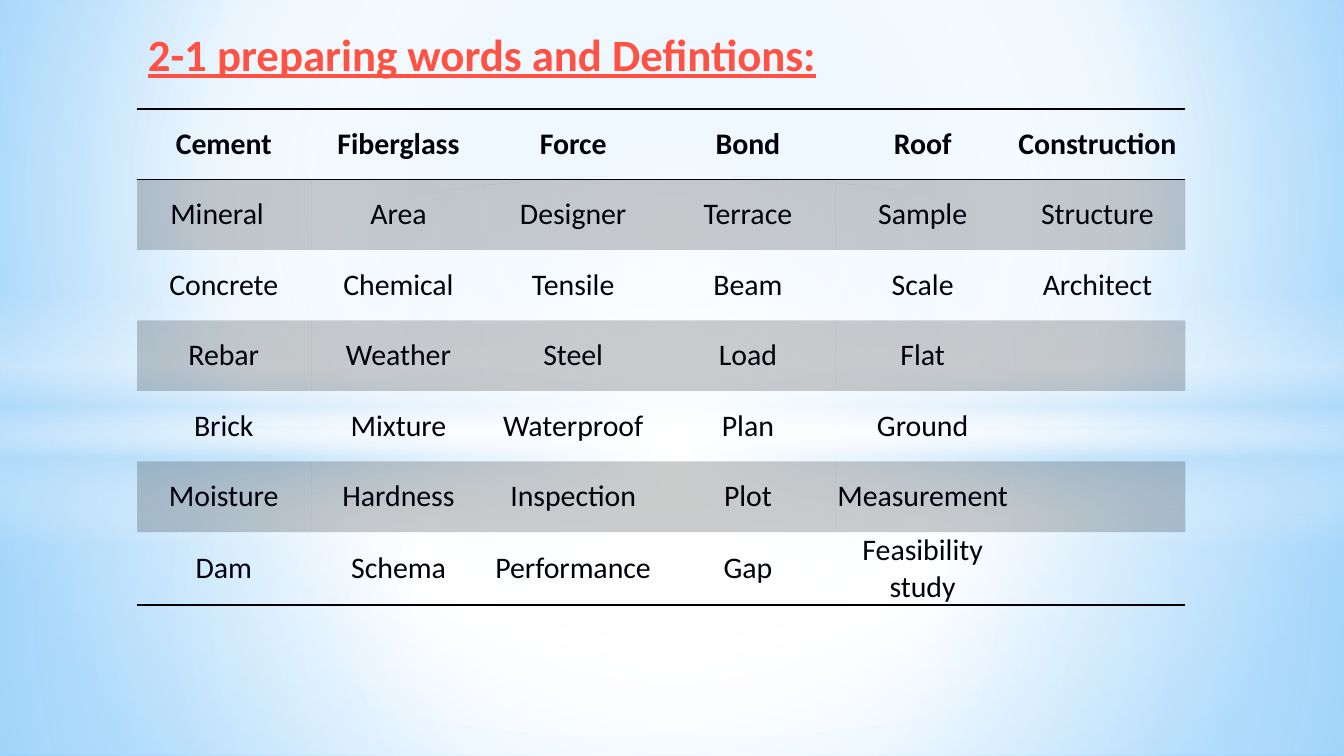
from dataclasses import dataclass
from lxml import etree
from pptx import Presentation
from pptx.dml.color import RGBColor
from pptx.enum import shapes, text
from pptx.oxml import ns
from pptx.util import Inches, Pt

HEADING = "2-1 preparing words and Defintions:"
WORDS = [
    ("Cement", "Fiberglass", "Force", "Bond", "Roof", "Construction"),
    ("Mineral", "Area", "Designer", "Terrace", "Sample", "Structure"),
    ("Concrete", "Chemical", "Tensile", "Beam", "Scale", "Architect"),
    ("Rebar", "Weather", "Steel", "Load", "Flat", ""),
    ("Brick", "Mixture", "Waterproof", "Plan", "Ground", ""),
    ("Moisture", "Hardness", "Inspection", "Plot", "Measurement", ""),
    ("Dam", "Schema", "Performance", "Gap", "Feasibility study", ""),
]
SLIDE_WIDTH = Inches(10)
SLIDE_HEIGHT = SLIDE_WIDTH * 9 // 16
ROW_HEIGHT = 0.525
COLUMN_WIDTH = 1.3
NUDGED = {"Mineral": 0.11}  # wider right margin, in inches


@dataclass(frozen=True)
class Theme:
    """Colours, font and type sizes of the slide."""
    font: str = "Calibri"
    heading: str = "FF5244"
    ink: str = "00000A"
    rule: str = "000000"
    band_alpha: int = 20
    white: str = "FFFFFF"
    sky: str = "B4DCFA"
    heading_size: int = 24
    word_size: int = 16


THEME = Theme()
CENTRE = (50, 50, 50, 50)
# Gradient stops are (position, colour, opacity); a number as target is an angle.
BACKDROP = ([(0, "9ED5FF", 100), (60, THEME.white, 100), (100, "5BB9FF", 100)], (20, 10, 20, 60))
RECT, OVAL = shapes.MSO_SHAPE.RECTANGLE, shapes.MSO_SHAPE.OVAL
GLOWS = [
    (RECT, (0, 3.17, 10, 2.45),
     [(0, THEME.white, 91), (37, THEME.white, 76), (100, THEME.sky, 79)], CENTRE),
    (RECT, (0, 0, 10, 3.17),
     [(0, THEME.white, 89), (48, THEME.white, 62), (100, THEME.sky, 79)], CENTRE),
    (RECT, (0, 2.18, 10, 1.88),
     [(0, THEME.white, 0), (29, THEME.white, 30), (45, THEME.sky, 40),
      (55, THEME.white, 26), (65, THEME.sky, 60), (100, THEME.white, 0)], 90),
    (OVAL, (0, 1.31, 10, 4.19), [(0, THEME.white, 100), (54, THEME.white, 0)], CENTRE),
]


def add_node(parent, tag, **attributes):
    """Append a DrawingML element with the given attributes."""
    return etree.SubElement(parent, ns.qn("a:" + tag),
                            {key: str(value) for key, value in attributes.items()})


def add_colour(parent, colour, alpha=100):
    """Append a colour with an opacity in percent."""
    node = add_node(parent, "srgbClr", val=colour)
    if alpha < 100:
        add_node(node, "alpha", val=alpha * 1000)


def paint_gradient(owner, fill, stops, target):
    """Fill the owner with a circular or linear gradient."""
    fill.solid()
    solid = next(owner.iter(ns.qn("a:solidFill")))
    gradient = etree.Element(ns.qn("a:gradFill"), rotWithShape="1")
    stop_list = add_node(gradient, "gsLst")
    for position, colour, alpha in stops:
        add_colour(add_node(stop_list, "gs", pos=position * 1000), colour, alpha)
    if isinstance(target, tuple):
        circle = add_node(gradient, "path", path="circle")
        sides = {side: value * 1000 for side, value in zip("ltrb", target)}
        add_node(circle, "fillToRect", **sides)
    else:
        add_node(gradient, "lin", ang=target * 60000, scaled=0)
    solid.getparent().replace(solid, gradient)


def add_glow(slide, preset, box, stops, target):
    """Add one soft shape of the backdrop."""
    glow = slide.shapes.add_shape(preset, *map(Inches, box))
    glow.shadow.inherit = False
    glow.line.fill.background()
    paint_gradient(glow._element, glow.fill, stops, target)


def style_run(run, size, colour, bold):
    """Set the font of a run."""
    run.font.name, run.font.size, run.font.bold = THEME.font, Pt(size), bold
    run.font.color.rgb = RGBColor.from_string(colour)


def set_heading(slide):
    """Fill and place the title placeholder in front of the backdrop."""
    title = slide.shapes.title
    title.left, title.top, title.width, title.height = map(Inches, (0.8, 0.15, 8.48, 0.64))
    frame = title.text_frame
    frame.text = HEADING
    frame.auto_size = text.MSO_AUTO_SIZE.NONE
    frame.vertical_anchor = text.MSO_ANCHOR.TOP
    frame.margin_left, frame.margin_top = Inches(0.3), Inches(0.05)
    line = frame.paragraphs[0]
    line.alignment = text.PP_ALIGN.LEFT
    style_run(line.runs[0], THEME.heading_size, THEME.heading, True)
    line.runs[0].font.underline = True
    slide.shapes._spTree.append(title._element)


def style_cell(cell, word, row):
    """Write a word and give its cell the rules and band of its row."""
    cell.text = word
    cell.vertical_anchor = text.MSO_ANCHOR.MIDDLE
    cell.margin_left = cell.margin_top = cell.margin_bottom = 0
    cell.margin_right = Inches(NUDGED.get(word, 0.01))
    line = cell.text_frame.paragraphs[0]
    line.alignment = text.PP_ALIGN.CENTER
    for run in line.runs:
        style_run(run, THEME.word_size, THEME.ink, row == 0)

    properties = cell._tc.get_or_add_tcPr()
    edges = {0: ("lnT", "lnB"), len(WORDS) - 1: ("lnB",)}
    for edge in edges.get(row, ()):
        border = add_node(properties, edge, w=Pt(1))
        add_colour(add_node(border, "solidFill"), THEME.rule)
    if row % 2:
        add_colour(add_node(properties, "solidFill"), THEME.rule, THEME.band_alpha)
    else:
        add_node(properties, "noFill")


def add_words(slide):
    """Add the vocabulary table."""
    rows, columns = len(WORDS), len(WORDS[0])
    table = slide.shapes.add_table(
        rows, columns, Inches(1.02), Inches(0.81),
        Inches(COLUMN_WIDTH * columns), Inches(ROW_HEIGHT * rows)).table
    table.horz_banding = False
    no_grid = "{2D5ABB26-0587-4C30-8999-92F81FD0307C}"
    table._tbl.tblPr.find(ns.qn("a:tableStyleId")).text = no_grid
    for column in table.columns:
        column.width = Inches(COLUMN_WIDTH)
    for row, words in enumerate(WORDS):
        table.rows[row].height = Inches(ROW_HEIGHT)
        for column, word in enumerate(words):
            style_cell(table.cell(row, column), word, row)


def build():
    """Build and save the slide."""
    deck = Presentation()
    deck.slide_width, deck.slide_height = SLIDE_WIDTH, SLIDE_HEIGHT
    slide = deck.slides.add_slide(deck.slide_layouts[0])
    subtitle = slide.placeholders[1]._element
    subtitle.getparent().remove(subtitle)
    paint_gradient(slide._element, slide.background.fill, *BACKDROP)
    for glow in GLOWS:
        add_glow(slide, *glow)
    set_heading(slide)
    add_words(slide)
    deck.save("out.pptx")


build()
